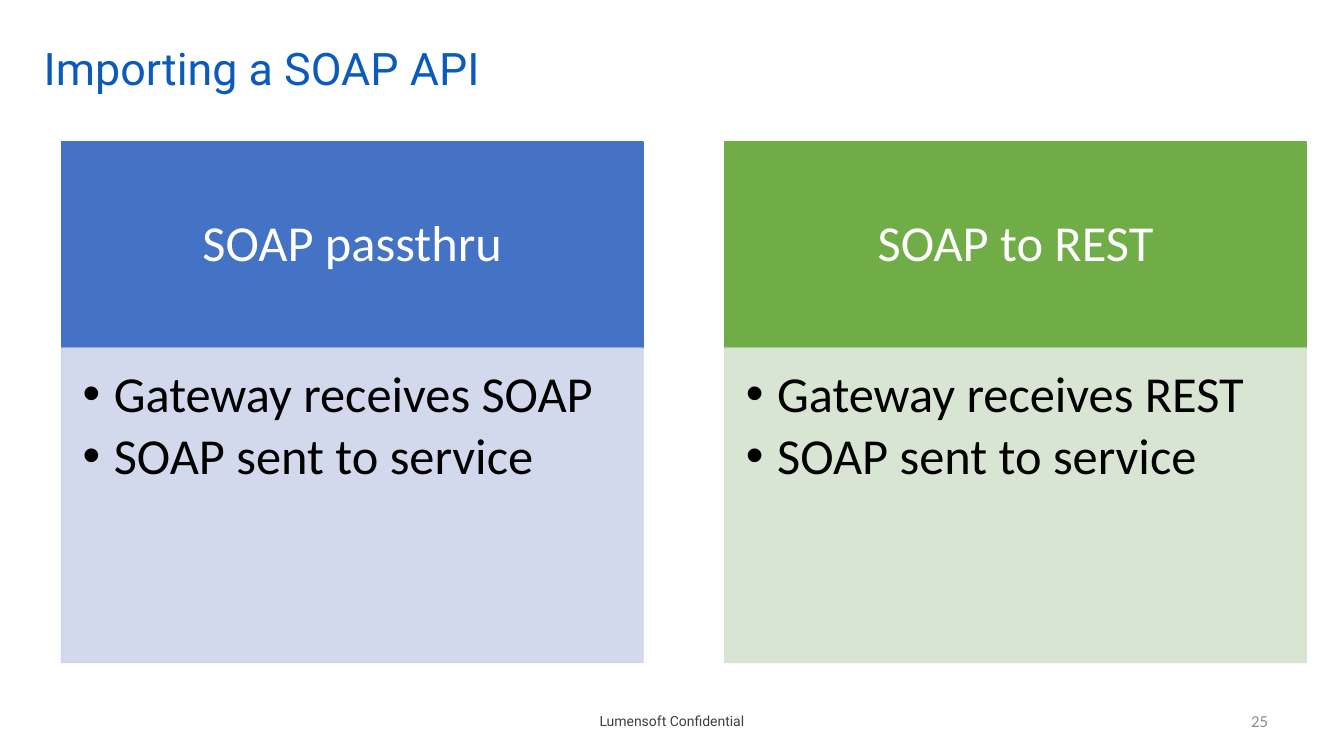
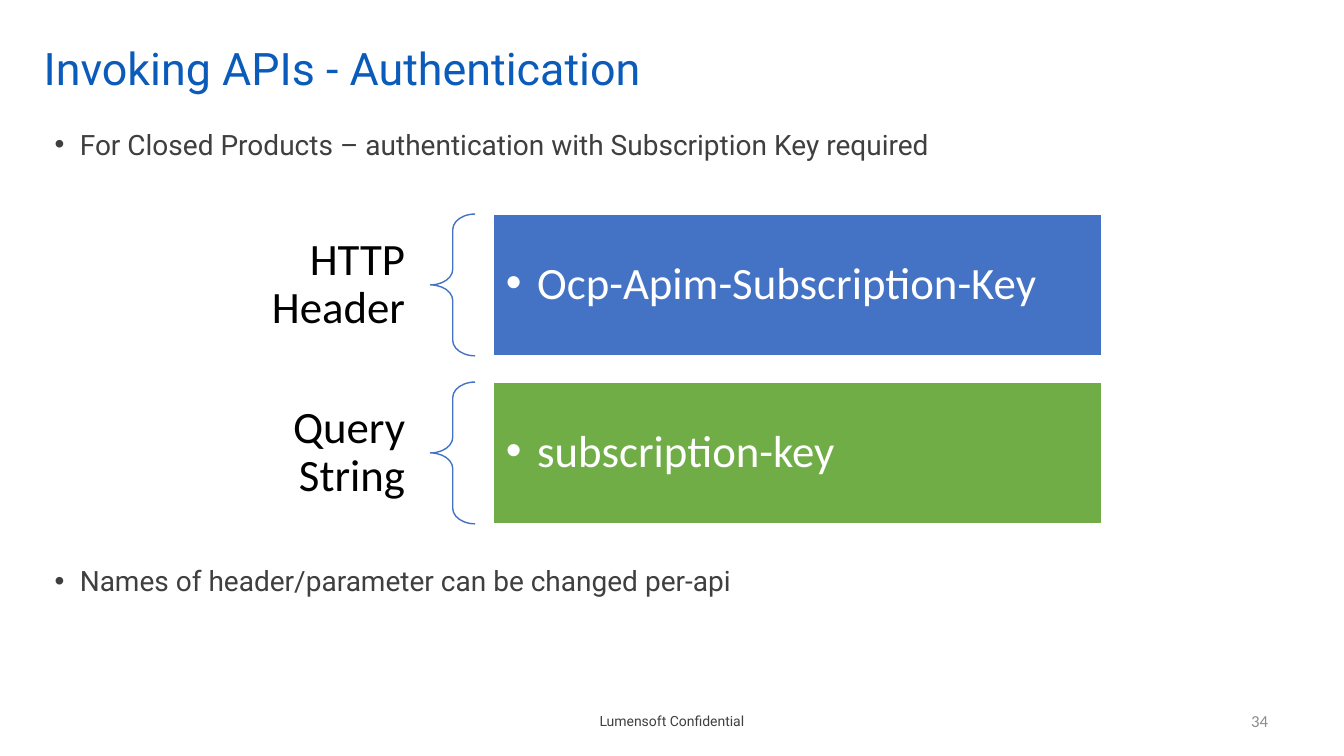
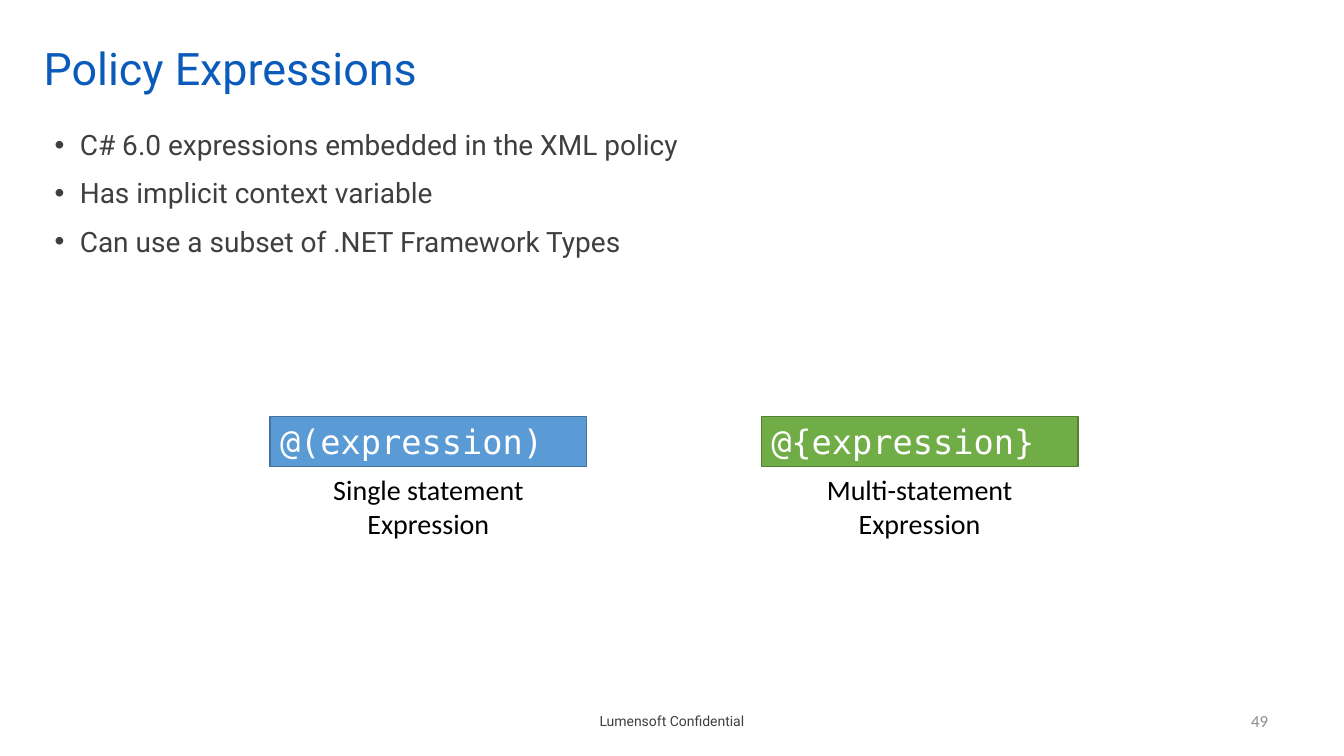
from dataclasses import dataclass, replace

from lxml.etree import SubElement
from pptx import Presentation
from pptx.dml.color import RGBColor
from pptx.enum.shapes import MSO_SHAPE
from pptx.enum.text import MSO_ANCHOR, PP_ALIGN
from pptx.oxml.ns import qn
from pptx.util import Inches, Pt

COLUMNS, ROWS = 40, 22.5


@dataclass(frozen=True)
class TextStyle:
    font: str
    size: int
    colour: str
    align: PP_ALIGN = PP_ALIGN.LEFT
    anchor: MSO_ANCHOR = MSO_ANCHOR.MIDDLE
    insets: tuple = (0.1, 0.05, 0.1, 0.05)
    line_spacing: float = 0.9
    before: int = 0
    after: int = 0
    hanging: float = 0


@dataclass(frozen=True)
class Theme:
    blue: str = "4472C4"
    pale_blue: str = "CFD5EA"
    sky: str = "5B9BD5"
    sky_edge: str = "43739E"
    green: str = "70AD47"
    green_edge: str = "538035"
    pale_green: str = "D5E3CF"
    white: str = "FFFFFF"
    title = TextStyle("Roboto", 32, "0A5BBA")
    body = TextStyle("Roboto", 20, "3F3F3F", anchor=MSO_ANCHOR.TOP,
                     before=10, after=3, hanging=0.25)
    footer = TextStyle("Roboto", 10, "3F3F3F", PP_ALIGN.CENTER,
                       insets=(0.2, 0.05, 0.2, 0.05), line_spacing=1)
    number = TextStyle("Calibri", 12, "8C8C8C", PP_ALIGN.RIGHT, line_spacing=1)
    heading = TextStyle("Calibri", 36, "FFFFFF", PP_ALIGN.CENTER,
                        insets=(0.28, 0.16, 0.28, 0.16))
    points = TextStyle("Calibri", 36, "000000", anchor=MSO_ANCHOR.TOP,
                       insets=(0.21, 0.21, 0.28, 0.32), after=5, hanging=0.31)
    label = TextStyle("Calibri", 32, "000000", PP_ALIGN.RIGHT,
                      insets=(0.25, 0.09, 0.25, 0.09))
    key = replace(points, size=32, colour="FFFFFF", anchor=MSO_ANCHOR.MIDDLE,
                  insets=(0.13,) * 4)
    expression = TextStyle("DejaVu Sans Mono", 24, "FFFFFF", line_spacing=1)
    caption = TextStyle("Calibri", 20, "000000", PP_ALIGN.CENTER,
                        MSO_ANCHOR.TOP, line_spacing=1)


class Deck:
    """Draws on the current slide; places are (column, row, columns, rows)."""

    def __init__(self, theme):
        self.theme = theme
        self.presentation = Presentation()
        self.presentation.slide_width = Inches(13.33)
        self.presentation.slide_height = Inches(7.5)
        self.slide = None

    def lengths(self, place):
        column = self.presentation.slide_width / COLUMNS
        row = self.presentation.slide_height / ROWS
        return [round(part * unit) for part, unit in zip(place, (column, row) * 2)]

    def new_slide(self, title, number):
        layout = self.presentation.slide_layouts[5]
        self.slide = self.presentation.slides.add_slide(layout)
        heading = self.slide.shapes.title
        heading.left, heading.top, heading.width, heading.height = self.lengths(
            (1, 1, 37, 2.25))
        self.set_lines(heading, [title], self.theme.title)
        self.text((15.33, 20.85, 9.33, 1.2), ["Lumensoft Confidential"],
                  self.theme.footer)
        self.text((29.04, 20.85, 9, 1.2), [str(number)], self.theme.number)

    def set_lines(self, shape, lines, style):
        """Fill a shape with one paragraph a line; a newline breaks within it."""
        frame = shape.text_frame
        frame.word_wrap = True
        frame.vertical_anchor = style.anchor
        (frame.margin_left, frame.margin_top,
         frame.margin_right, frame.margin_bottom) = map(Inches, style.insets)
        for index, line in enumerate(lines):
            paragraph = frame.add_paragraph() if index else frame.paragraphs[0]
            if style.hanging:
                self.bullet(paragraph, style.hanging)
            paragraph.alignment = style.align
            paragraph.line_spacing = style.line_spacing
            paragraph.space_before = Pt(style.before if index else 0)
            paragraph.space_after = Pt(style.after)
            for part_index, part in enumerate(line.split("\n")):
                if part_index:
                    paragraph.add_line_break()
                run = paragraph.add_run()
                run.text = part
                run.font.name = style.font
                run.font.size = Pt(style.size)
                run.font.color.rgb = RGBColor.from_string(style.colour)

    @staticmethod
    def bullet(paragraph, hanging):
        properties = paragraph._p.get_or_add_pPr()
        properties.set("marL", str(Inches(hanging)))
        properties.set("indent", str(-Inches(hanging)))
        SubElement(properties, qn("a:buFont")).set("typeface", "Arial")
        SubElement(properties, qn("a:buChar")).set("char", "•")

    def text(self, place, lines, style):
        self.set_lines(self.slide.shapes.add_textbox(*self.lengths(place)), lines, style)

    def outline(self, kind, place, line):
        shape = self.slide.shapes.add_shape(kind, *self.lengths(place))
        shape.shadow.inherit = False
        shape.line.color.rgb = RGBColor.from_string(line)
        shape.line.width = Pt(1)
        return shape

    def box(self, place, fill, line, lines, style, opacity=100):
        shape = self.outline(MSO_SHAPE.RECTANGLE, place, line)
        shape.fill.solid()
        shape.fill.fore_color.rgb = RGBColor.from_string(fill)
        if opacity < 100:
            for colour in shape._element.spPr.iter(qn("a:srgbClr")):
                SubElement(colour, qn("a:alpha")).set("val", str(opacity * 1000))
        self.set_lines(shape, lines, style)

    def brace(self, place, line):
        shape = self.outline(MSO_SHAPE.LEFT_BRACE, place, line)
        shape.fill.background()
        shape.adjustments[0] = 0.35


def soap_import(deck):
    theme = deck.theme
    deck.new_slide("Importing a SOAP API", 25)
    panels = [
        ("SOAP passthru", "Gateway receives SOAP", theme.blue, theme.pale_blue),
        ("SOAP to REST", "Gateway receives REST", theme.green, theme.pale_green),
    ]
    for index, (heading, receives, strong, pale) in enumerate(panels):
        left, width = 1.83 + index * 19.74, 17.31
        deck.box((left, 4.23, width, 6.14), strong, strong, [heading], theme.heading)
        deck.box((left, 10.36, width, 9.36), pale, pale,
                 [receives, "SOAP sent to service"], theme.points, opacity=90)


def authentication(deck):
    theme = deck.theme
    deck.new_slide("Invoking APIs - Authentication", 34)
    notes = [
        (3.75, "For Closed Products – authentication with Subscription Key required"),
        (16.74, "Names of header/parameter can be changed per-api"),
    ]
    for top, note in notes:
        deck.text((1.33, top, 36.67, 1.8), [note], theme.body)
    keys = [
        ("HTTP Header", "Ocp-Apim-Subscription-Key", theme.blue),
        ("Query String", "subscription-key", theme.green),
    ]
    for index, (label, key, fill) in enumerate(keys):
        top, height = 6.37 + index * 5, 4.22
        deck.text((6.15, top, 6.66, height), [label], theme.label)
        deck.brace((12.81, top, 1.33, height), theme.blue)
        deck.box((14.67, top, 18.12, height), fill, theme.white, [key], theme.key)


def policy_expressions(deck):
    theme = deck.theme
    deck.new_slide("Policy Expressions", 49)
    deck.text((1.33, 3.75, 36.67, 5.55), [
        "C# 6.0 expressions embedded in the XML policy",
        "Has implicit context variable",
        "Can use a subset of .NET Framework Types",
    ], theme.body)
    expressions = [
        ("@(expression)", "Single statement\nExpression", theme.sky, theme.sky_edge),
        ("@{expression}", "Multi-statement\nExpression", theme.green, theme.green_edge),
    ]
    for index, (expression, caption, fill, edge) in enumerate(expressions):
        left, width = 8.04 + index * 14.62, 9.42
        deck.box((left, 12.39, width, 1.5), fill, edge, [expression], theme.expression)
        deck.text((left, 13.92, width, 2.31), [caption], theme.caption)


def main():
    deck = Deck(Theme())
    for draw in (soap_import, authentication, policy_expressions):
        draw(deck)
    deck.presentation.save("out.pptx")


if __name__ == "__main__":
    main()
